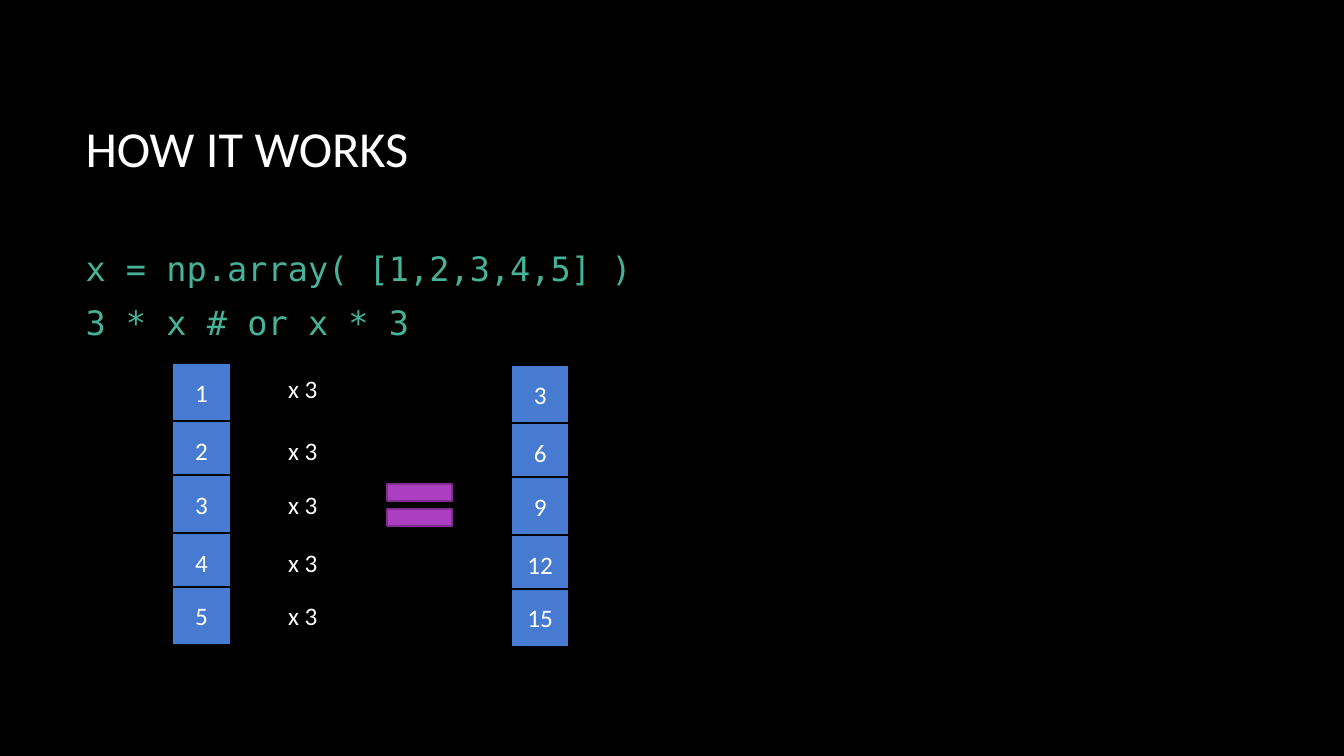
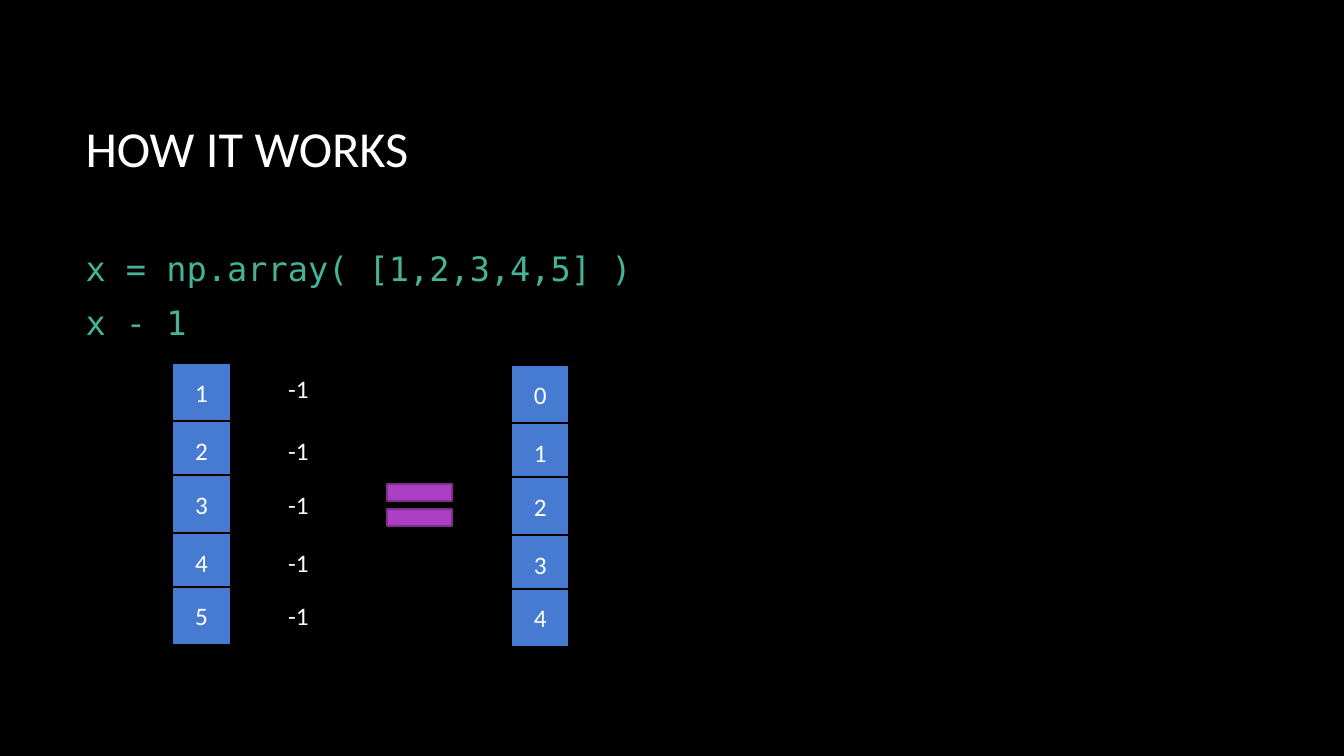
"""Build two slides showing how array arithmetic works element by element."""
from dataclasses import dataclass

import pptx
import pptx.dml.color
import pptx.enum.shapes
import pptx.enum.text
import pptx.slide
import pptx.util

Pt = pptx.util.Pt
MSO_SHAPE = pptx.enum.shapes.MSO_SHAPE
MSO_ANCHOR = pptx.enum.text.MSO_ANCHOR
MSO_AUTO_SIZE = pptx.enum.text.MSO_AUTO_SIZE
PP_ALIGN = pptx.enum.text.PP_ALIGN

COLORS = {
    "background": "000000",
    "text": "FFFFFF",
    "code": "46B298",
    "cell": "477BD1",
    "equal": "AC3EC1",
    "equal_line": "7F2E8F",
}
TITLE = "HOW IT WORKS"
TEXT_FONT = "Calibri"
CODE_FONT = "DejaVu Sans Mono"
ARRAY_CODE = "x = np.array( [1,2,3,4,5] )"
INPUTS = (1, 2, 3, 4, 5)

CELL_SIZE = 41.8
ROW_PAIR_STEP = 79.9
INPUT_LEFT, INPUT_TOP = 123.1, 259.2
RESULT_LEFT, RESULT_TOP = 365, 260.6
LABEL_LEFT, LABEL_TOP, LABEL_HEIGHT = 198.7, 265.7, 29
FIRST_LABEL_TOP = 262.8


@dataclass(frozen=True)
class Box:
    left: float
    top: float
    width: float
    height: float

    def emu(self) -> tuple[int, ...]:
        return tuple(Pt(v) for v in (self.left, self.top, self.width, self.height))


@dataclass(frozen=True)
class TextStyle:
    size: float
    font: str = TEXT_FONT
    color: str = "text"
    align: PP_ALIGN = PP_ALIGN.LEFT
    space_after: float = 0


@dataclass(frozen=True)
class Example:
    code: str
    label: str
    label_width: float
    results: tuple[int, ...]


TITLE_BOX = Box(54, 48.2, 797.8, 114.5)
CODE_BOX = Box(54, 168.5, 797.8, 84.2)
EQUAL_BOX = Box(267.8, 335.5, 63.4, 50.4)

TITLE_STYLE = TextStyle(36)
CODE_STYLE = TextStyle(24, CODE_FONT, "code", space_after=10)
CELL_STYLE = TextStyle(18, align=PP_ALIGN.CENTER)
LABEL_STYLE = TextStyle(18)

EXAMPLES = (
    Example("3 * x # or x * 3", "x 3", 36, tuple(3 * n for n in INPUTS)),
    Example("x - 1", "-1", 29.5, tuple(n - 1 for n in INPUTS)),
)


def rgb(name: str) -> pptx.dml.color.RGBColor:
    return pptx.dml.color.RGBColor.from_string(COLORS[name])


def row_offset(row: int) -> float:
    pair, second = divmod(row, 2)
    return pair * ROW_PAIR_STEP + second * CELL_SIZE


def write(tf, lines: tuple[str, ...], style: TextStyle) -> None:
    for i, line in enumerate(lines):
        p = tf.add_paragraph() if i else tf.paragraphs[0]
        p.text = line
        p.alignment = style.align
        p.space_after = Pt(style.space_after)
        p.font.size = Pt(style.size)
        p.font.name = style.font
        p.font.color.rgb = rgb(style.color)


def add_text(s: pptx.slide.Slide, box: Box, lines: tuple[str, ...], style: TextStyle):
    tf = s.shapes.add_textbox(*box.emu()).text_frame
    tf.word_wrap = True
    tf.vertical_anchor = MSO_ANCHOR.MIDDLE
    write(tf, lines, style)
    return tf


def add_shape(s: pptx.slide.Slide, kind: MSO_SHAPE, box: Box, fill: str, line: str):
    sp = s.shapes.add_shape(kind, *box.emu())
    sp.shadow.inherit = False
    sp.fill.solid()
    sp.fill.fore_color.rgb = rgb(fill)
    sp.line.color.rgb = rgb(line)
    sp.line.width = Pt(1.5)
    return sp


def add_column(s: pptx.slide.Slide, left: float, top: float, values: tuple[int, ...]) -> None:
    for row, value in enumerate(values):
        box = Box(left, top + row_offset(row), CELL_SIZE, CELL_SIZE)
        sp = add_shape(s, MSO_SHAPE.RECTANGLE, box, "cell", "background")
        sp.text_frame.vertical_anchor = MSO_ANCHOR.MIDDLE
        write(sp.text_frame, (str(value),), CELL_STYLE)


def add_labels(s: pptx.slide.Slide, label: str, width: float) -> None:
    for row in range(len(INPUTS)):
        top = LABEL_TOP + row_offset(row) if row else FIRST_LABEL_TOP
        tf = add_text(s, Box(LABEL_LEFT, top, width, LABEL_HEIGHT), (label,), LABEL_STYLE)
        tf.vertical_anchor = MSO_ANCHOR.TOP
        tf.word_wrap = False
        tf.auto_size = MSO_AUTO_SIZE.SHAPE_TO_FIT_TEXT


def add_example(prs, example: Example) -> None:
    s = prs.slides.add_slide(prs.slide_layouts[6])
    s.background.fill.solid()
    s.background.fill.fore_color.rgb = rgb("background")
    add_text(s, TITLE_BOX, (TITLE,), TITLE_STYLE)
    add_text(s, CODE_BOX, (ARRAY_CODE, example.code), CODE_STYLE)
    add_column(s, INPUT_LEFT, INPUT_TOP, INPUTS)
    add_labels(s, example.label, example.label_width)
    add_shape(s, MSO_SHAPE.MATH_EQUAL, EQUAL_BOX, "equal", "equal_line")
    add_column(s, RESULT_LEFT, RESULT_TOP, example.results)


def main() -> None:
    prs = pptx.Presentation()
    prs.slide_width, prs.slide_height = Pt(960), Pt(540)
    for example in EXAMPLES:
        add_example(prs, example)
    prs.save("out.pptx")


if __name__ == "__main__":
    main()
